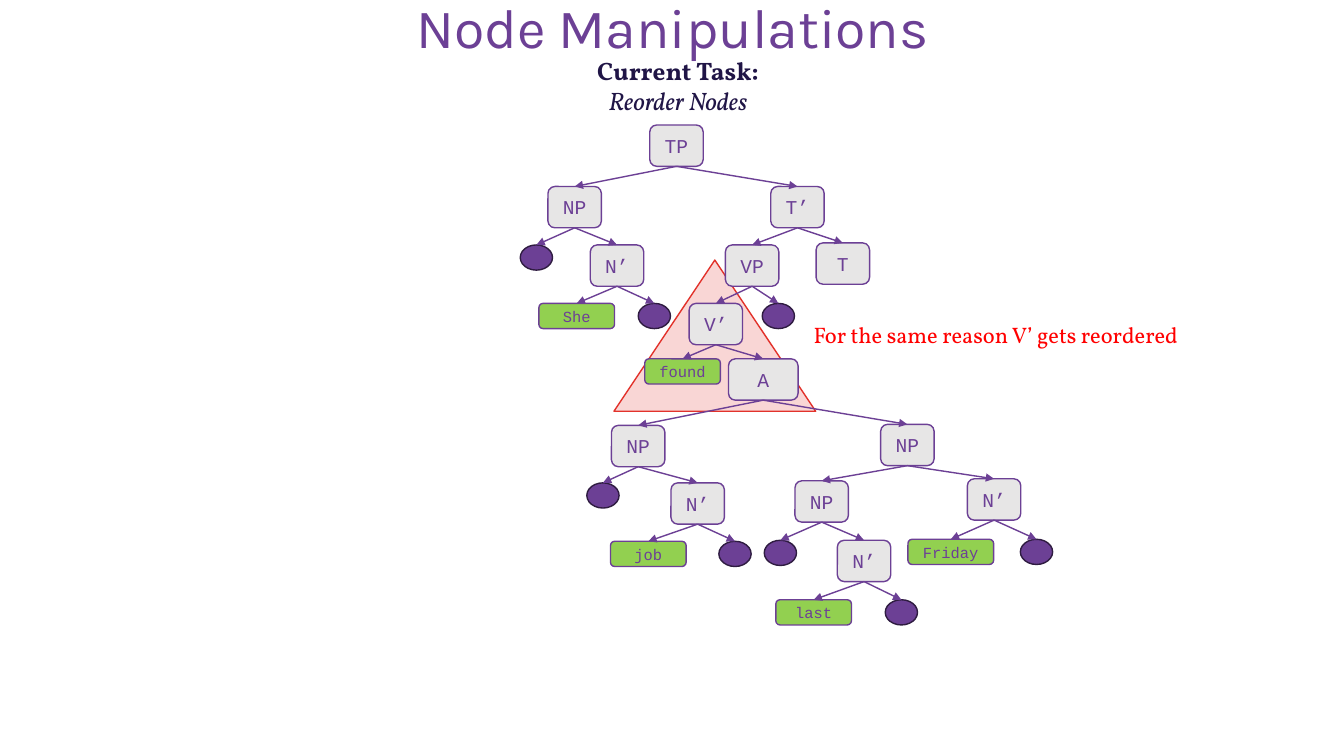
"""Syntax tree slide: reordering nodes under V'."""
from lxml import etree
from pptx import Presentation
from pptx.dml.color import RGBColor
from pptx.enum.shapes import MSO_CONNECTOR, MSO_SHAPE
from pptx.enum.text import MSO_ANCHOR, MSO_AUTO_SIZE, PP_ALIGN
from pptx.oxml.ns import qn
from pptx.util import Inches, Pt

PURPLE = RGBColor(0x6C, 0x40, 0x95)
DARK_PURPLE = RGBColor(0x2F, 0x1C, 0x41)
NAVY = RGBColor(0x20, 0x15, 0x46)
GREY = RGBColor(0xE7, 0xE6, 0xE6)
GREEN = RGBColor(0x92, 0xD0, 0x50)
PINK = RGBColor(0xF9, 0xD6, 0xD5)
CRIMSON = RGBColor(0xE2, 0x32, 0x2B)
RED = RGBColor(0xFF, 0x00, 0x00)
ROUNDED, OVAL, TRIANGLE = MSO_SHAPE.ROUNDED_RECTANGLE, MSO_SHAPE.OVAL, MSO_SHAPE.ISOSCELES_TRIANGLE
STRAIGHT = MSO_CONNECTOR.STRAIGHT
CENTER, MIDDLE = PP_ALIGN.CENTER, MSO_ANCHOR.MIDDLE
NO_FIT, GROW = MSO_AUTO_SIZE.NONE, MSO_AUTO_SIZE.SHAPE_TO_FIT_TEXT
TOP, BOTTOM = 0, 2

prs = Presentation()
prs.slide_width, prs.slide_height = Inches(13.33), Inches(7.5)
s = prs.slides.add_slide(prs.slide_layouts[5])


def add_box(kind, x, y, w, h, fill, line):
    sp = s.shapes.add_shape(kind, Inches(x), Inches(y), Inches(w), Inches(h))
    sp.shadow.inherit = False
    sp.fill.solid()
    sp.fill.fore_color.rgb = fill
    sp.line.color.rgb = line
    sp.line.width = Pt(1)
    return sp


def add_run(p, text, font, size, color):
    r = p.add_run()
    r.text = text
    r.font.name, r.font.size, r.font.color.rgb = font, Pt(size), color
    return r


title = s.shapes.title
title.left, title.top, title.width, title.height = (Inches(v) for v in (0.92, 0.05, 11.5, 0.51))
tf = title.text_frame
tf.auto_size, tf.vertical_anchor = NO_FIT, MIDDLE
p = tf.paragraphs[0]
p.alignment, p.line_spacing = CENTER, 0.9
add_run(p, "Node Manipulations", "Karla", 39.6, PURPLE)

add_box(TRIANGLE, 6.09, 2.58, 2, 1.5, PINK, CRIMSON)

# kind: width, height, preset, fill, line, text size
KINDS = {
    "phrase": (0.53, 0.41, ROUNDED, GREY, PURPLE, 14),
    "adjunct": (0.69, 0.41, ROUNDED, GREY, PURPLE, 14),
    "word": (0.75, 0.25, ROUNDED, GREEN, PURPLE, 11),
    "long word": (0.85, 0.25, ROUNDED, GREEN, PURPLE, 11),
    "empty": (0.32, 0.25, OVAL, PURPLE, DARK_PURPLE, 11),
}

# name, parent, kind, text, centre x, top
TREE = [
    ("root", None, "phrase", "TP", 6.71, 1.24),
    ("subject", "root", "phrase", "NP", 5.7, 1.85),
    ("tense bar", "root", "phrase", "T’", 7.91, 1.85),
    ("subject spec", "subject", "empty", "", 5.32, 2.43),
    ("subject bar", "subject", "phrase", "N’", 6.12, 2.43),
    ("she", "subject bar", "word", "She", 5.72, 3.01),
    ("subject end", "subject bar", "empty", "", 6.49, 3.01),
    ("verb phrase", "tense bar", "phrase", "VP", 7.46, 2.43),
    ("tense", "tense bar", "phrase", "T", 8.36, 2.41),
    ("verb bar", "verb phrase", "phrase", "V’", 7.1, 3.01),
    ("verb end", "verb phrase", "empty", "", 7.72, 3.01),
    ("found", "verb bar", "word", "found", 6.77, 3.56),
    ("objects", "verb bar", "adjunct", "A", 7.57, 3.56),
    ("object", "objects", "phrase", "NP", 6.33, 4.22),
    ("object spec", "object", "empty", "", 5.98, 4.79),
    ("object bar", "object", "phrase", "N’", 6.92, 4.79),
    ("job", "object bar", "word", "job", 6.43, 5.37),
    ("object end", "object bar", "empty", "", 7.29, 5.37),
    ("time", "objects", "phrase", "NP", 9, 4.21),
    ("time spec", "time", "phrase", "NP", 8.15, 4.77),
    ("time bar", "time", "phrase", "N’", 9.86, 4.75),
    ("last spec", "time spec", "empty", "", 7.74, 5.36),
    ("last bar", "time spec", "phrase", "N’", 8.57, 5.36),
    ("last", "last bar", "word", "last", 8.07, 5.95),
    ("last end", "last bar", "empty", "", 8.94, 5.95),
    ("friday", "time bar", "long word", "Friday", 9.43, 5.35),
    ("time end", "time bar", "empty", "", 10.28, 5.35),
]

nodes = {}
for name, parent, kind, text, x, y in TREE:
    w, h, preset, fill, line, size = KINDS[kind]
    sp = nodes[name] = add_box(preset, x - w / 2, y, w, h, fill, line)
    if text:
        tf = sp.text_frame
        tf.vertical_anchor = MIDDLE
        p = tf.paragraphs[0]
        p.alignment = CENTER
        add_run(p, text, "Courier New", size, PURPLE)
    if parent:
        branch = s.shapes.add_connector(STRAIGHT, 0, 0, 0, 0)
        branch.begin_connect(nodes[parent], BOTTOM)
        branch.end_connect(sp, TOP)
        branch.line.color.rgb = PURPLE
        branch.line.width = Pt(1)
        etree.SubElement(branch.line._get_or_add_ln(), qn("a:tailEnd"), type="triangle")
        etree.SubElement(branch._element.spPr, qn("a:effectLst"))

note = s.shapes.add_textbox(Inches(7.97), Inches(3.14), Inches(4.45), Inches(0.37))
tf = note.text_frame
tf.word_wrap, tf.auto_size = True, GROW
add_run(tf.paragraphs[0], "For the same reason V’ gets reordered", "Vollkorn", 16, RED)

task = s.shapes.add_textbox(Inches(4.16), Inches(0.5), Inches(5.13), Inches(0.71))
tf = task.text_frame
tf.word_wrap, tf.auto_size = True, GROW
p = tf.paragraphs[0]
p.alignment = CENTER
add_run(p, "Current Task:", "Vollkorn", 18, NAVY).font.bold = True
p = tf.add_paragraph()
p.alignment = CENTER
add_run(p, "Reorder Nodes", "Vollkorn", 18, NAVY).font.italic = True

prs.save("out.pptx")
